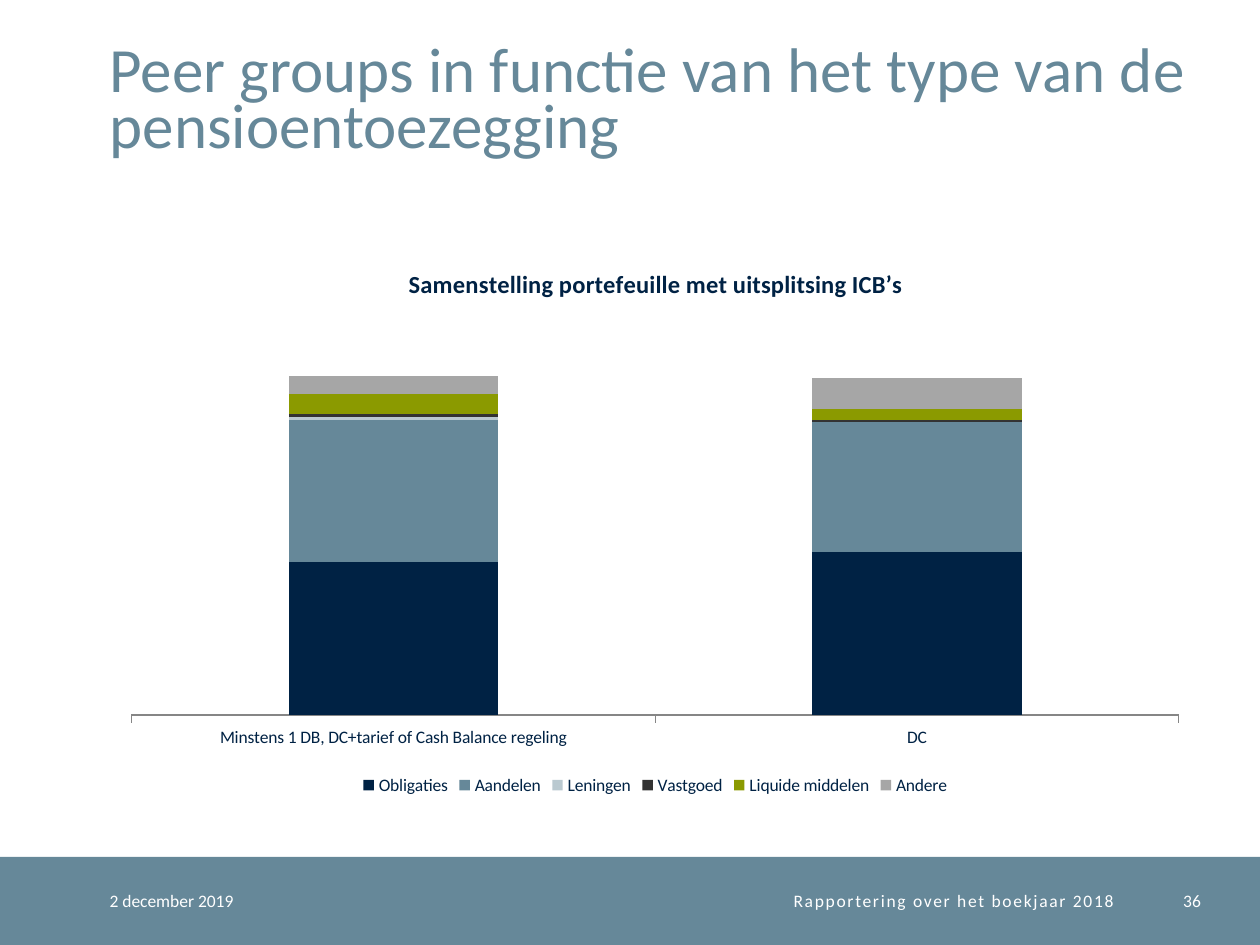
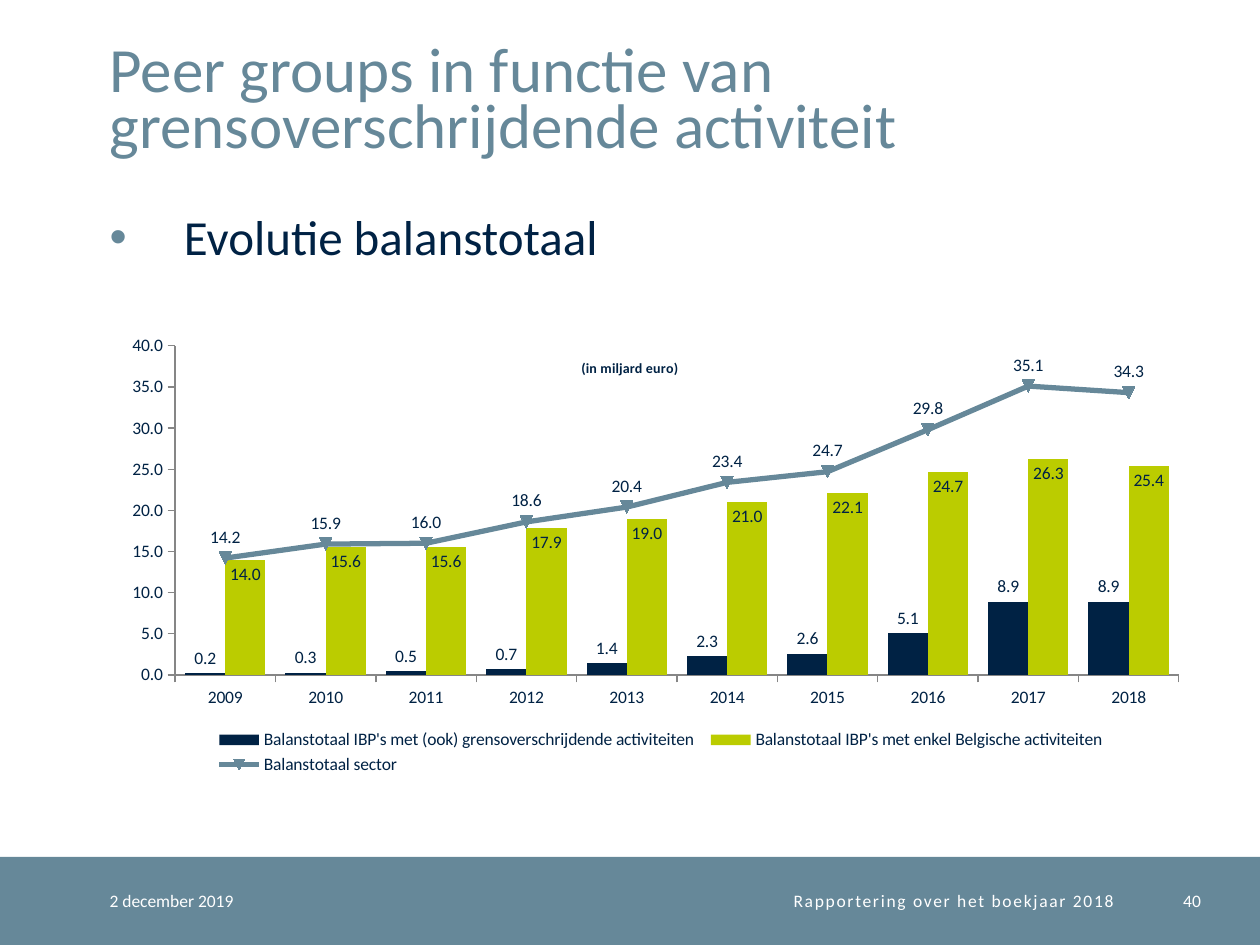
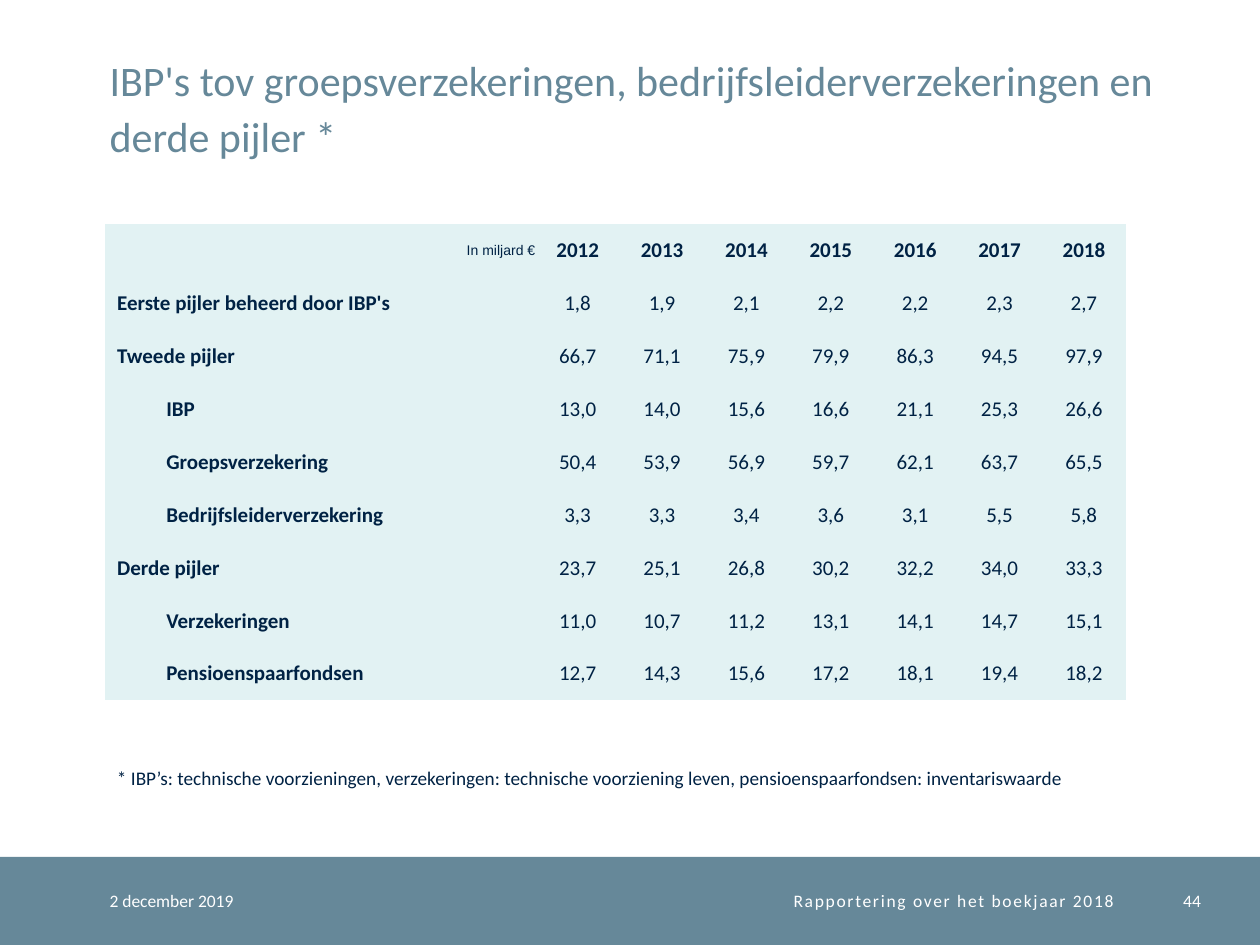
from lxml import etree
from pptx import Presentation
from pptx.chart.data import CategoryChartData
from pptx.dml.color import RGBColor
from pptx.enum.chart import XL_CHART_TYPE, XL_LABEL_POSITION, XL_LEGEND_POSITION, XL_TICK_MARK
from pptx.enum.shapes import MSO_SHAPE
from pptx.enum.text import MSO_ANCHOR, MSO_AUTO_SIZE, PP_ALIGN
from pptx.oxml import parse_xml
from pptx.oxml.ns import nsdecls, qn
from pptx.util import Inches, Pt

NAVY = RGBColor(0x00, 0x22, 0x44)
STEEL = RGBColor(0x66, 0x88, 0x99)
PALE = RGBColor(0xBA, 0xC9, 0xD0)
DARK = RGBColor(0x33, 0x33, 0x33)
OLIVE = RGBColor(0x8B, 0x9A, 0x00)
LIME = RGBColor(0xBB, 0xCC, 0x00)
GREY = RGBColor(0xA6, 0xA6, 0xA6)
RULE = RGBColor(0x86, 0x86, 0x86)
MINT = RGBColor(0xE2, 0xF2, 0xF3)
WHITE = RGBColor(0xFF, 0xFF, 0xFF)

LEFT, CENTER, RIGHT = PP_ALIGN.LEFT, PP_ALIGN.CENTER, PP_ALIGN.RIGHT
TOP, MIDDLE, BOTTOM = MSO_ANCHOR.TOP, MSO_ANCHOR.MIDDLE, MSO_ANCHOR.BOTTOM
STACKED, CLUSTERED = XL_CHART_TYPE.COLUMN_STACKED, XL_CHART_TYPE.COLUMN_CLUSTERED
ABOVE, INSIDE, OUTSIDE = XL_LABEL_POSITION.ABOVE, XL_LABEL_POSITION.INSIDE_END, XL_LABEL_POSITION.OUTSIDE_END
TICK_OUT, TICK_NONE = XL_TICK_MARK.OUTSIDE, XL_TICK_MARK.NONE
LEGEND_LOW = XL_LEGEND_POSITION.BOTTOM

FONT = "Calibri"
WIDTH, HEIGHT = Inches(10), Inches(7.5)
EDGE = 8.7
BAND_TOP, BAND_HIGH = 90.67, 9.33
NO_GRID = "{2D5ABB26-0587-4C30-8999-92F81FD0307C}"

PARTS = [
    ("Obligaties", [94, 100], NAVY),
    ("Aandelen", [87, 80], STEEL),
    ("Leningen", [2, 0], PALE),
    ("Vastgoed", [2, 1], DARK),
    ("Liquide middelen", [12, 7], OLIVE),
    ("Andere", [11, 19], GREY),
]
TOTALS = [
    ("Balanstotaal IBP's met (ook) grensoverschrijdende activiteiten",
     [0.2, 0.3, 0.5, 0.7, 1.4, 2.3, 2.6, 5.1, 8.9, 8.9], NAVY),
    ("Balanstotaal IBP's met enkel Belgische activiteiten",
     [14, 15.6, 15.6, 17.9, 19, 21, 22.1, 24.7, 26.3, 25.4], LIME),
    ("Balanstotaal sector",
     [14.2, 15.9, 16, 18.6, 20.4, 23.4, 24.7, 29.8, 35.1, 34.3], STEEL),
]
PILLARS = [
    ("In miljard €", 0, "2012 2013 2014 2015 2016 2017 2018"),
    ("Eerste pijler beheerd door IBP's", 0, "1,8 1,9 2,1 2,2 2,2 2,3 2,7"),
    ("Tweede pijler", 0, "66,7 71,1 75,9 79,9 86,3 94,5 97,9"),
    ("IBP", 1, "13,0 14,0 15,6 16,6 21,1 25,3 26,6"),
    ("Groepsverzekering", 1, "50,4 53,9 56,9 59,7 62,1 63,7 65,5"),
    ("Bedrijfsleiderverzekering", 1, "3,3 3,3 3,4 3,6 3,1 5,5 5,8"),
    ("Derde pijler", 0, "23,7 25,1 26,8 30,2 32,2 34,0 33,3"),
    ("Verzekeringen", 1, "11,0 10,7 11,2 13,1 14,1 14,7 15,1"),
    ("Pensioenspaarfondsen", 1, "12,7 14,3 15,6 17,2 18,1 19,4 18,2"),
]


def spot(x, y, wide, high):
    return (int(WIDTH * x / 100), int(HEIGHT * y / 100),
            int(WIDTH * wide / 100), int(HEIGHT * high / 100))


def style(font, size, color, bold=False, name=FONT):
    font.name, font.size, font.bold = name, Pt(size), bold
    font.color.rgb = color


def clear(item):
    item.margin_left = item.margin_right = item.margin_top = item.margin_bottom = 0


def write(frame, text, size, color, align=LEFT, anchor=MIDDLE):
    frame.word_wrap = True
    frame.auto_size = MSO_AUTO_SIZE.NONE
    frame.vertical_anchor = anchor
    frame.text = text
    para = frame.paragraphs[0]
    para.alignment = align
    style(para.runs[0].font, size, color)
    return para


def label(slide, place, text, size, color, align=LEFT, anchor=MIDDLE):
    frame = slide.shapes.add_textbox(*spot(*place)).text_frame
    clear(frame)
    return write(frame, text, size, color, align, anchor)


def add_band(deck, slide):
    band = slide.shapes.add_shape(MSO_SHAPE.RECTANGLE, *spot(0, BAND_TOP, 100, BAND_HIGH))
    band.shadow.inherit = False
    band.fill.solid()
    band.fill.fore_color.rgb = STEEL
    band.line.fill.background()
    deck.slide_master.shapes.element.append(band.element)


def add_slide(deck, title, number, size=36):
    slide = deck.slides.add_slide(deck.slide_layouts[5])
    head = slide.shapes.title
    head.left, head.top, head.width, head.height = spot(EDGE, 2.67, 86.3, 14.4)
    clear(head.text_frame)
    write(head.text_frame, title, size, STEEL, anchor=BOTTOM).line_spacing = Pt(32)
    label(slide, (EDGE, BAND_TOP, 17.7, BAND_HIGH), "2 december 2019", 10, WHITE)
    foot = label(slide, (26.4, BAND_TOP, 62, BAND_HIGH),
                 "Rapportering over het boekjaar 2018", 10, WHITE, RIGHT)
    foot.runs[0]._r.get_or_add_rPr().set("spc", "100")
    label(slide, (90.4, BAND_TOP, 4.9, BAND_HIGH), str(number), 10, WHITE, RIGHT)
    return slide


def add_bullet(slide, text):
    para = label(slide, (4.7, 22.4, 90.3, 8), text, 28, NAVY, anchor=TOP)
    para.line_spacing = Pt(30.8)
    para.space_after = Pt(6)
    props = para._p.get_or_add_pPr()
    props.set("marL", str(Inches(0.99)))
    props.set("indent", str(Inches(-0.59)))
    tint = etree.SubElement(props, qn("a:buClr"))
    etree.SubElement(tint, qn("a:srgbClr")).set("val", str(STEEL))
    etree.SubElement(props, qn("a:buFont")).set("typeface", "Arial")
    etree.SubElement(props, qn("a:buChar")).set("char", "•")


def arrange(owner, x, y, wide=None, high=None, inner=False):
    for old in owner.findall(qn("c:layout")):
        owner.remove(old)
    layout = etree.Element(qn("c:layout"))
    manual = etree.SubElement(layout, qn("c:manualLayout"))
    pairs = [("layoutTarget", "inner" if inner else None),
             ("xMode", "edge"), ("yMode", "edge"),
             ("x", x), ("y", y), ("w", wide), ("h", high)]
    for tag, value in pairs:
        if value is not None:
            etree.SubElement(manual, qn("c:" + tag)).set("val", str(value))
    leads = (qn("c:tx"), qn("c:legendPos"))
    owner.insert(sum(child.tag in leads for child in owner), layout)


def add_chart(slide, kind, place, cats, rows, title, size, gap):
    data = CategoryChartData()
    data.categories = cats
    for name, values, _ in rows:
        data.add_series(name, values)
    chart = slide.shapes.add_chart(kind, *spot(*place), data).chart
    style(chart.font, 10, NAVY)
    chart.has_title = True
    chart.chart_title.text_frame.text = title
    style(chart.chart_title.text_frame.paragraphs[0].runs[0].font, size, NAVY, True)
    chart.has_legend = True
    chart.legend.position = LEGEND_LOW
    chart.legend.include_in_layout = False
    plot = chart.plots[0]
    plot.gap_width = gap
    plot.vary_by_categories = False
    for series, (_, _, color) in zip(plot.series, rows):
        series.format.fill.solid()
        series.format.fill.fore_color.rgb = color
    chart.value_axis.has_major_gridlines = False
    chart.value_axis.minimum_scale = 0
    for axis in (chart.category_axis, chart.value_axis):
        axis.major_tick_mark, axis.minor_tick_mark = TICK_OUT, TICK_NONE
        axis.format.line.color.rgb = RULE
        axis.format.line.width = Pt(0.75)
    return chart


def turn_line(chart, color):
    bars = chart.plots[0]._element
    last = bars.findall(qn("c:ser"))[-1]
    line = parse_xml(
        f'<c:lineChart {nsdecls("c")}><c:grouping val="standard"/>'
        '<c:varyColors val="0"/><c:marker val="1"/></c:lineChart>')
    for tag in ("c:spPr", "c:invertIfNegative"):
        for old in last.findall(qn(tag)):
            last.remove(old)
    line.insert(2, last)
    for axis in bars.findall(qn("c:axId")):
        etree.SubElement(line, qn("c:axId")).set("val", axis.get("val"))
    bars.addnext(line)
    series = chart.plots[1].series[0]
    series.smooth = False
    series.format.line.color.rgb = color
    series.format.line.width = Pt(3)
    series.marker.size = 7
    series.marker.format.fill.solid()
    series.marker.format.fill.fore_color.rgb = color


def show_values(series, place):
    labels = series.data_labels
    labels.show_value = True
    labels.number_format = "#,##0.0"
    labels.number_format_is_linked = False
    labels.position = place
    style(labels.font, 10, NAVY)


def mix_chart(slide):
    cats = ["Minstens 1 DB, DC+tarief of Cash Balance regeling", "DC"]
    chart = add_chart(slide, STACKED, (EDGE, 24.8, 86.6, 59.87), cats, PARTS,
                      "Samenstelling portefeuille met uitsplitsing ICB’s", 14, 150)
    chart.plots[0].overlap = 100
    chart.value_axis.maximum_scale = 250
    chart.value_axis.visible = False
    arrange(chart.chart_title._element, 0.27, 0.05)
    arrange(chart.plots[0]._element.getparent(), 0.02, 0.13, 0.96, 0.72, True)


def trend_chart(slide):
    cats = [str(year) for year in range(2009, 2019)]
    chart = add_chart(slide, CLUSTERED, (EDGE, 29.73, 86.6, 52.8), cats, TOTALS,
                      "(in miljard euro)", 8, 50)
    chart.plots[0].overlap = 0
    chart.value_axis.maximum_scale = 40
    chart.value_axis.major_unit = 5
    chart.value_axis.tick_labels.number_format = "0.0"
    chart.value_axis.tick_labels.number_format_is_linked = False
    turn_line(chart, STEEL)
    for series, place in zip(chart.series, (OUTSIDE, INSIDE, ABOVE)):
        show_values(series, place)
    arrange(chart.chart_title._element, 0.43, 0.15)
    arrange(chart.plots[0]._element.getparent(), 0.06, 0.13, 0.92, 0.66, True)
    arrange(chart.legend._element, 0.09, 0.89, 0.83, 0.11)


def fill_cell(cell, text, bold, align):
    clear(cell)
    cell.vertical_anchor = MIDDLE
    cell.fill.solid()
    cell.fill.fore_color.rgb = MINT
    cell.text = text
    para = cell.text_frame.paragraphs[0]
    para.alignment = align
    style(para.runs[0].font, 12, NAVY, bold)
    return para


def add_table(slide):
    frame = slide.shapes.add_table(len(PILLARS), 8, *spot(8.3, 23.73, 81.1, 50.4))
    table = frame.table
    table.first_row = table.horz_banding = False
    next(frame.element.iter(qn("a:tableStyleId"))).text = NO_GRID
    for col, column in enumerate(table.columns):
        column.width = int(WIDTH * (0.067 if col else 0.342))
    for row, (name, level, values) in enumerate(PILLARS):
        para = fill_cell(table.cell(row, 0), name, True, LEFT if row else RIGHT)
        para._p.get_or_add_pPr().set("marL", str(Inches(0.49 if level else 0.1)))
        if row == 0:
            style(para.runs[0].font, 8, NAVY, name="Arial")
        for col, value in enumerate(values.split(), 1):
            fill_cell(table.cell(row, col), value, row == 0, CENTER)


def add_note(slide, text):
    box = slide.shapes.add_textbox(*spot(8.3, 80.4, 83.5, 3.87))
    write(box.text_frame, text, 11, NAVY, anchor=TOP)


def main():
    deck = Presentation()
    deck.slide_width, deck.slide_height = WIDTH, HEIGHT

    slide = add_slide(deck, "Peer groups in functie van het type van de pensioentoezegging", 36)
    add_band(deck, slide)
    mix_chart(slide)

    slide = add_slide(deck, "Peer groups in functie van grensoverschrijdende activiteit", 40)
    add_bullet(slide, "Evolutie balanstotaal")
    trend_chart(slide)

    slide = add_slide(
        deck, "IBP's tov groepsverzekeringen, bedrijfsleiderverzekeringen en derde pijler *", 44, 24)
    add_table(slide)
    add_note(slide, "* IBP’s: technische voorzieningen, verzekeringen: technische voorziening leven, "
                    "pensioenspaarfondsen: inventariswaarde")

    deck.save("out.pptx")


if __name__ == "__main__":
    main()
